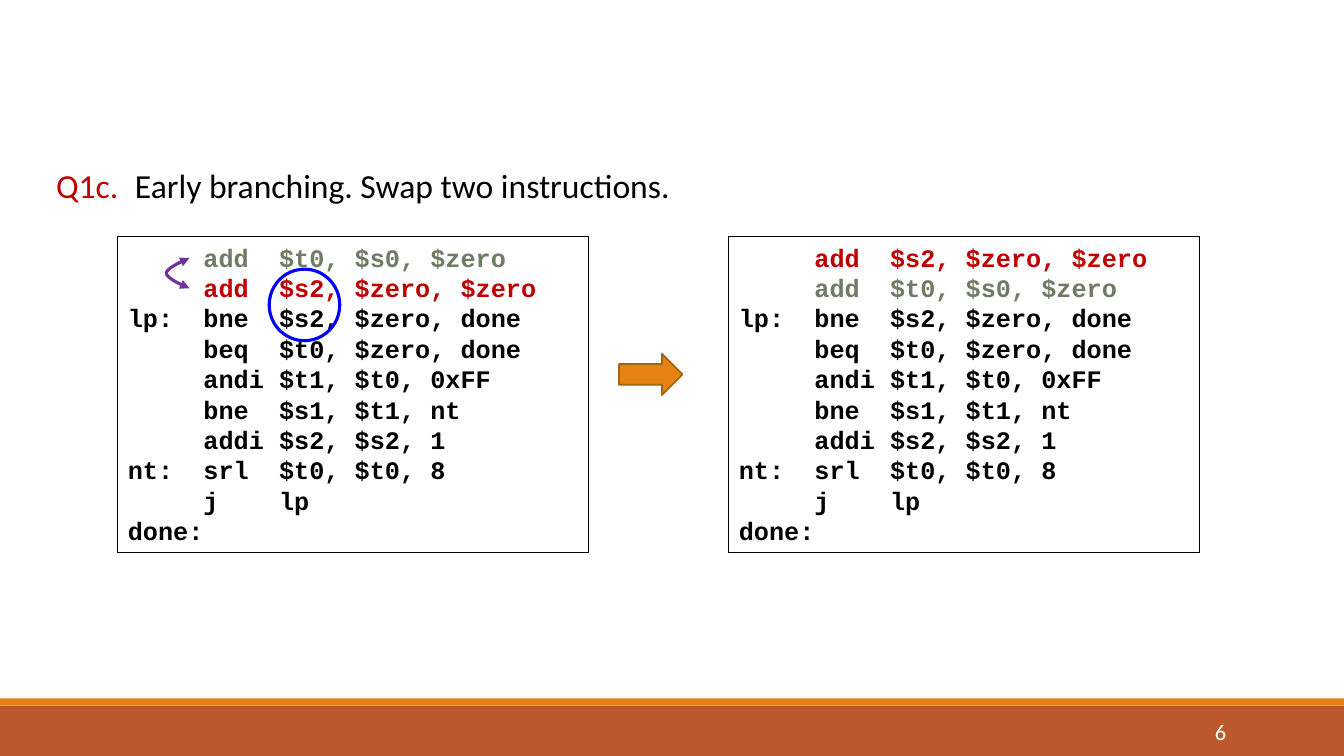
from lxml import etree
from pptx import Presentation
from pptx.dml.color import RGBColor
from pptx.enum.shapes import MSO_SHAPE
from pptx.enum.text import MSO_ANCHOR, PP_ALIGN
from pptx.oxml.ns import qn
from pptx.util import Inches, Pt

RECTANGLE, OVAL, RIGHT_ARROW = MSO_SHAPE.RECTANGLE, MSO_SHAPE.OVAL, MSO_SHAPE.RIGHT_ARROW
LEFT, CENTER, RIGHT = PP_ALIGN.LEFT, PP_ALIGN.CENTER, PP_ALIGN.RIGHT
TOP, MIDDLE = MSO_ANCHOR.TOP, MSO_ANCHOR.MIDDLE

BLACK = RGBColor(0x00, 0x00, 0x00)
WHITE = RGBColor(0xFF, 0xFF, 0xFF)
RED = RGBColor(0xC0, 0x00, 0x00)
SAGE = RGBColor(0x6F, 0x7B, 0x63)
ORANGE = RGBColor(0xE4, 0x83, 0x12)
DARK_ORANGE = RGBColor(0xA9, 0x61, 0x0D)
RUST = RGBColor(0xBD, 0x58, 0x2C)
BLUE = RGBColor(0x00, 0x00, 0xFF)
PURPLE = RGBColor(0x70, 0x30, 0xA0)

SLIDE_WIDTH, SLIDE_HEIGHT = 13.33, 7.5
CODE_WIDTH, CODE_HEIGHT, CODE_TOP = 4.67, 3.13, 2.35
CODE_LEFTS = (1.17, 7.23)

LOAD = ("     add  $t0, $s0, $zero", SAGE)
CLEAR = ("     add  $s2, $zero, $zero", RED)
LOOP = [(line, BLACK) for line in (
    "lp:  bne  $s2, $zero, done",
    "     beq  $t0, $zero, done",
    "     andi $t1, $t0, 0xFF",
    "     bne  $s1, $t1, nt",
    "     addi $s2, $s2, 1",
    "nt:  srl  $t0, $t0, 8",
    "     j    lp",
    "done:",
)]


def style_shape(shape, fill=None, line=None, line_width=1):
    shape.shadow.inherit = False
    if fill is None:
        shape.fill.background()
    else:
        shape.fill.solid()
        shape.fill.fore_color.rgb = fill
    if line is None:
        shape.line.fill.background()
    else:
        shape.line.color.rgb = line
        shape.line.width = Pt(line_width)


def add_shape(slide, kind, box, **style):
    shape = slide.shapes.add_shape(kind, *map(Inches, box))
    style_shape(shape, **style)
    return shape


def write_text(shape, lines, size=24, font="Calibri", bold=False,
               align=LEFT, anchor=TOP, spacing=None):
    """Write (text, colour) lines, one paragraph each."""
    frame = shape.text_frame
    frame.word_wrap = True
    frame.vertical_anchor = anchor
    for index, (text, color) in enumerate(lines):
        paragraph = frame.add_paragraph() if index else frame.paragraphs[0]
        paragraph.alignment = align
        if spacing:
            paragraph.line_spacing = Pt(spacing)
        run = paragraph.add_run()
        run.text = text
        run.font.size = Pt(size)
        run.font.name = font
        run.font.bold = bold
        run.font.color.rgb = color


def add_text(slide, box, text, color, **style):
    write_text(slide.shapes.add_textbox(*map(Inches, box)), [(text, color)], **style)


def add_footer(slide, box, number):
    left, top, width, height = box
    stripe = 0.07
    add_shape(slide, RECTANGLE, (left, top + stripe, width, height - stripe), fill=RUST)
    add_shape(slide, RECTANGLE, (left, top, width, stripe), fill=ORANGE)
    add_text(slide, (left + 10.83, top + 0.13, 1.43, 0.4), number, WHITE,
             size=16, align=RIGHT, anchor=MIDDLE)


def add_question(slide, box, label, text):
    left, top, width, height = box
    add_text(slide, (left, top, 0.99, height), label, RED, align=CENTER)
    add_text(slide, (left + 0.87, top, width - 0.87, height), text, BLACK)


def add_code(slide, box, lines):
    listing = add_shape(slide, RECTANGLE, box, line=BLACK, line_width=0.75)
    write_text(listing, lines, size=18, font="Courier New", bold=True, spacing=21.7)


def add_swap_arrow(slide, box):
    """Draw a double-headed arc that bulges to the left of its box."""
    left, top, width, height = box
    right, middle, bottom = left + width, top + height / 2, top + height
    curves = (
        ((right, top), (left + width / 2, top + 0.05), (left, top + 0.11), (left, middle)),
        ((left, middle), (left, top + 0.21), (right, bottom), (right, bottom)),
    )
    steps = 12
    points = []
    for curve in curves:
        for step in range(steps + 1):
            t = step / steps
            weights = ((1 - t) ** 3, 3 * t * (1 - t) ** 2, 3 * t * t * (1 - t), t ** 3)
            points.append(tuple(
                Inches(sum(weight * point[axis] for weight, point in zip(weights, curve)))
                for axis in (0, 1)))
    builder = slide.shapes.build_freeform(*points[0], scale=1.0)
    builder.add_line_segments(points[1:], close=False)
    arc = builder.convert_to_shape()
    style_shape(arc, line=PURPLE, line_width=2.25)
    for end in ("a:headEnd", "a:tailEnd"):
        etree.SubElement(arc.line._get_or_add_ln(), qn(end), type="triangle")


def add_swap(slide, box):
    """Mark the swap on the first listing, whose box is given."""
    left, top, width, height = box
    add_shape(slide, OVAL, (left + 1.5, top + 0.32, 0.7, 0.71), line=BLUE, line_width=2.25)
    add_swap_arrow(slide, (left + 0.48, top + 0.21, 0.23, 0.3))


def main():
    presentation = Presentation()
    presentation.slide_width = Inches(SLIDE_WIDTH)
    presentation.slide_height = Inches(SLIDE_HEIGHT)
    slide = presentation.slides.add_slide(presentation.slide_layouts[6])

    add_footer(slide, (0, 6.93, SLIDE_WIDTH, 0.57), "6")
    add_question(slide, (0.37, 1.59, 9.91, 0.5), "Q1c.",
                 "Early branching. Swap two instructions.")

    # Code before and after the swap
    before, after = [(left, CODE_TOP, CODE_WIDTH, CODE_HEIGHT) for left in CODE_LEFTS]
    add_code(slide, before, [LOAD, CLEAR] + LOOP)
    add_code(slide, after, [CLEAR, LOAD] + LOOP)
    add_shape(slide, RIGHT_ARROW, (6.14, 3.51, 0.63, 0.41),
              fill=ORANGE, line=DARK_ORANGE, line_width=1.25)
    add_swap(slide, before)

    presentation.save("out.pptx")


if __name__ == "__main__":
    main()
